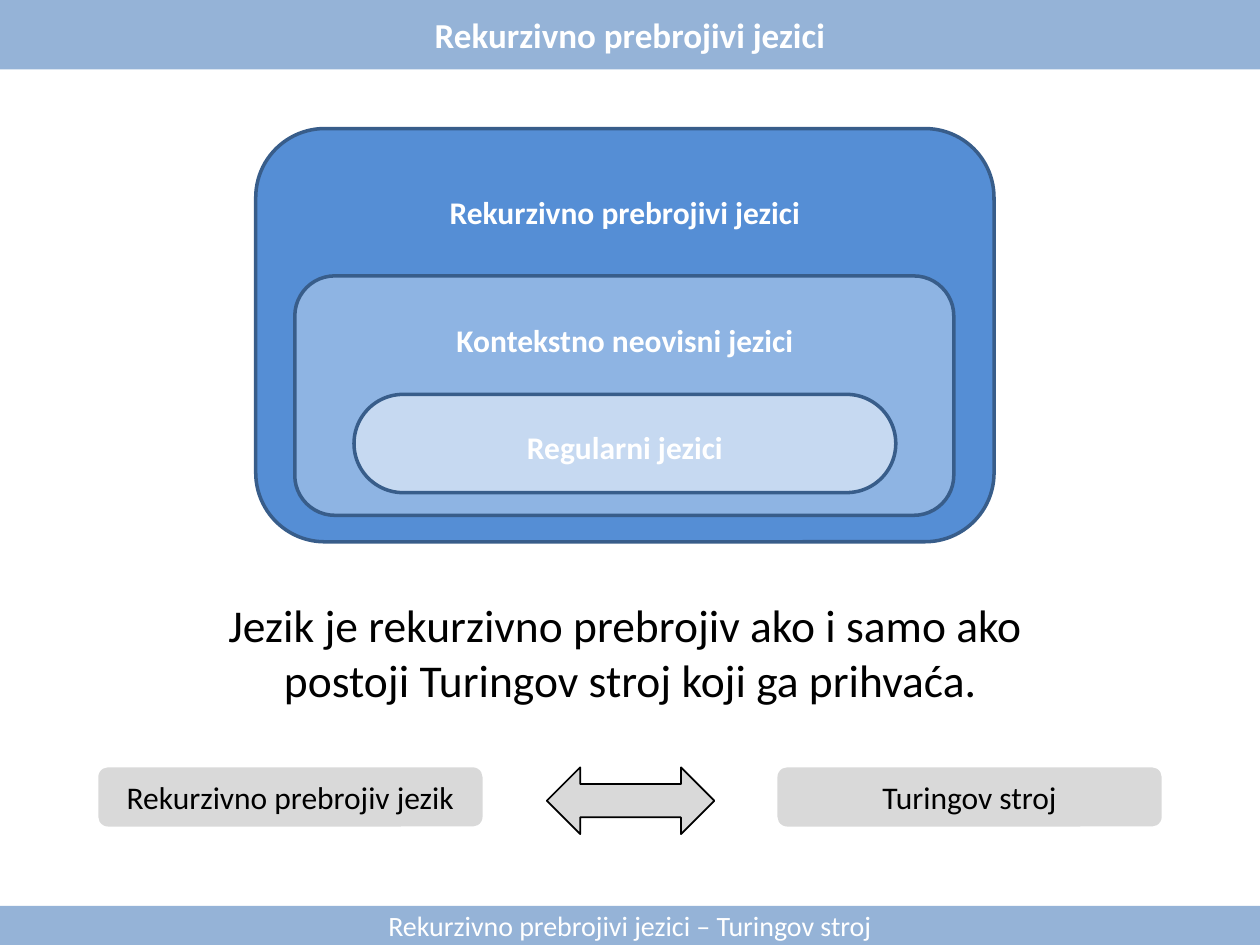
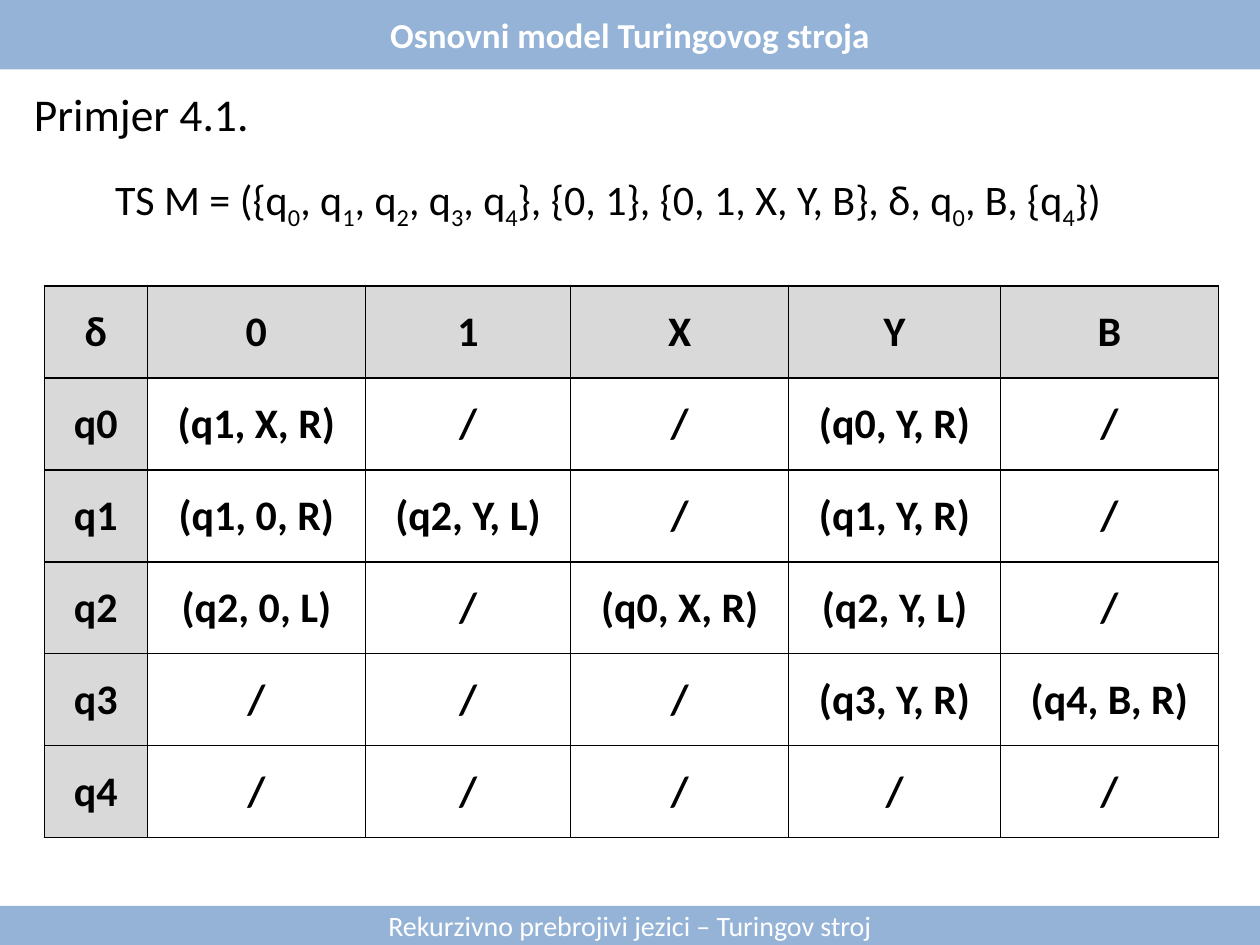
from lxml import etree
from pptx import Presentation
from pptx import util as u
from pptx.dml.color import RGBColor
from pptx.enum import shapes, text
from pptx.oxml import ns

WHITE = RGBColor(0xFF, 0xFF, 0xFF)
BLACK = RGBColor(0x00, 0x00, 0x00)
GREY = RGBColor(0xD9, 0xD9, 0xD9)
BAND_BLUE = RGBColor(0x95, 0xB3, 0xD7)
OUTLINE_BLUE = RGBColor(0x38, 0x5D, 0x8A)
DARK_BLUE = RGBColor(0x55, 0x8E, 0xD5)
MEDIUM_BLUE = RGBColor(0x8E, 0xB4, 0xE3)
LIGHT_BLUE = RGBColor(0xC6, 0xD9, 0xF1)

FOOTER = "Rekurzivno prebrojivi jezici – Turingov stroj"
CENTER = text.PP_ALIGN.CENTER
MIDDLE = text.MSO_ANCHOR.MIDDLE
ROUNDED = shapes.MSO_SHAPE.ROUNDED_RECTANGLE

LANGUAGES = [
    ("Rekurzivno prebrojivi jezici", (2.03, 1.02, 5.86, 3.28), 1.48, DARK_BLUE, 0.167),
    ("Kontekstno neovisni jezici", (2.34, 2.19, 5.23, 1.9), 2.5, MEDIUM_BLUE, 0.167),
    ("Regularni jezici", (2.81, 3.13, 4.3, 0.78), 3.35, LIGHT_BLUE, 0.5),
]
MACHINE = ("TS M = ({q_0, q_1, q_2, q_3, q_4}, {0, 1}, "
           "{0, 1, X, Y, B}, δ, q_0, B, {q_4})")
TRANSITIONS = [
    ["δ", "0", "1", "X", "Y", "B"],
    ["q0", "(q1, X, R)", "/", "/", "(q0, Y, R)", "/"],
    ["q1", "(q1, 0, R)", "(q2, Y, L)", "/", "(q1, Y, R)", "/"],
    ["q2", "(q2, 0, L)", "/", "(q0, X, R)", "(q2, Y, L)", "/"],
    ["q3", "/", "/", "/", "(q3, Y, R)", "(q4, B, R)"],
    ["q4", "/", "/", "/", "/", "/"],
]
COLUMN_WIDTHS = [0.82, 1.73, 1.63, 1.73, 1.68, 1.73]
ROW_HEIGHT = 0.73


class Deck:
    font_name = "Calibri"

    def __init__(self):
        self.presentation = Presentation()
        self.presentation.slide_width = u.Inches(10)
        self.presentation.slide_height = u.Inches(7.5)
        self.slide = None

    def start_slide(self, title):
        self.slide = self.presentation.slides.add_slide(self.presentation.slide_layouts[6])
        self.band(0, 0.55, title, size=20, bold=True)
        self.band(7.19, 0.31, FOOTER, size=16)

    def band(self, top, height, content, **style):
        shape = self.shape(shapes.MSO_SHAPE.RECTANGLE, (0, top, 10, height), BAND_BLUE)
        self.set_text(shape.text_frame, [content], color=WHITE, **style)

    def shape(self, kind, box, fill, line=None, line_width=1, corner=None, parent=None):
        parent = parent or self.slide
        shape = parent.shapes.add_shape(kind, *map(u.Inches, box))
        shape.shadow.inherit = False
        shape.fill.solid()
        shape.fill.fore_color.rgb = fill
        if line is None:
            shape.line.fill.background()
        else:
            shape.line.color.rgb = line
            shape.line.width = u.Pt(line_width)
        if corner is not None:
            shape.adjustments[0] = corner
        return shape

    def text_box(self, box, lines, parent=None, wrap=False, anchor=text.MSO_ANCHOR.TOP, **style):
        parent = parent or self.slide
        shape = parent.shapes.add_textbox(*map(u.Inches, box))
        self.set_text(shape.text_frame, lines, wrap=wrap, anchor=anchor, **style)

    def set_text(self, frame, lines, size=18, color=BLACK, bold=False, align=CENTER,
                 anchor=MIDDLE, wrap=True):
        frame.word_wrap = wrap
        frame.vertical_anchor = anchor
        for index, line in enumerate(lines):
            paragraph = frame.add_paragraph() if index else frame.paragraphs[0]
            paragraph.alignment = align
            first, *indexed = line.split("_")
            self.run(paragraph, first, size, color, bold)
            for piece in indexed:
                subscript = self.run(paragraph, piece[0], size, color, bold)
                subscript.font._element.set("baseline", "-25000")
                self.run(paragraph, piece[1:], size, color, bold)

    def run(self, paragraph, content, size, color, bold):
        run = paragraph.add_run()
        run.text = content
        formats = {"name": self.font_name, "size": u.Pt(size), "bold": bold}
        for name, value in formats.items():
            setattr(run.font, name, value)
        run.font.color.rgb = color
        return run

    def language_set(self, name, box, label_top, fill, corner):
        group = self.slide.shapes.add_group_shape()
        self.shape(ROUNDED, box, fill, OUTLINE_BLUE, 2, corner, group)
        self.text_box((2.89, label_top, 4.14, 0.4), [name], group,
                      wrap=True, anchor=MIDDLE, color=WHITE, bold=True)

    def grey_label(self, left, content):
        shape = self.shape(ROUNDED, (left, 6.09, 3.05, 0.47), GREY, corner=0.167)
        self.set_text(shape.text_frame, [content])

    def table(self, left, top, rows, widths, row_height):
        size = (sum(widths), row_height * len(rows))
        frame = self.slide.shapes.add_table(
            len(rows), len(widths), *map(u.Inches, (left, top, *size)))
        table = frame.table
        table.first_row = table.horz_banding = False
        for column, width in zip(table.columns, widths):
            column.width = u.Inches(width)
        for row_index, row in enumerate(rows):
            table.rows[row_index].height = u.Inches(row_height)
            for column_index, content in enumerate(row):
                is_header = row_index == 0 or column_index == 0
                self.cell(table.cell(row_index, column_index), content,
                          GREY if is_header else WHITE)

    def cell(self, cell, content, fill):
        cell.margin_left = cell.margin_right = u.Inches(0.2)
        cell.vertical_anchor = MIDDLE
        properties = cell._tc.get_or_add_tcPr()
        for side in ("lnL", "lnR", "lnT", "lnB"):
            border = etree.SubElement(properties, ns.qn(f"a:{side}"), w=str(u.Pt(0.75)))
            solid = etree.SubElement(border, ns.qn("a:solidFill"))
            etree.SubElement(solid, ns.qn("a:srgbClr"), val=str(BLACK))
        cell.fill.solid()
        cell.fill.fore_color.rgb = fill
        self.set_text(cell.text_frame, [content], size=24, bold=True)


def build_languages(deck):
    deck.start_slide("Rekurzivno prebrojivi jezici")
    for language in LANGUAGES:
        deck.language_set(*language)
    deck.text_box((1.69, 4.69, 6.63, 0.97),
                  ["Jezik je rekurzivno prebrojiv ako i samo ako ",
                   "postoji Turingov stroj koji ga prihvaća."], size=26)
    deck.shape(shapes.MSO_SHAPE.LEFT_RIGHT_ARROW, (4.34, 6.09, 1.33, 0.53), GREY, BLACK)
    deck.grey_label(0.78, "Rekurzivno prebrojiv jezik")
    deck.grey_label(6.17, "Turingov stroj")


def build_example(deck):
    deck.start_slide("Osnovni model Turingovog stroja")
    deck.table(0.35, 2.27, TRANSITIONS, COLUMN_WIDTHS, ROW_HEIGHT)
    deck.text_box((0.17, 0.63, 1.91, 0.54), ["Primjer 4.1."],
                  size=26, align=text.PP_ALIGN.LEFT)
    deck.text_box((0.79, 1.33, 8.07, 0.56), [MACHINE], size=24)


def main():
    deck = Deck()
    build_languages(deck)
    build_example(deck)
    deck.presentation.save("out.pptx")


if __name__ == "__main__":
    main()
